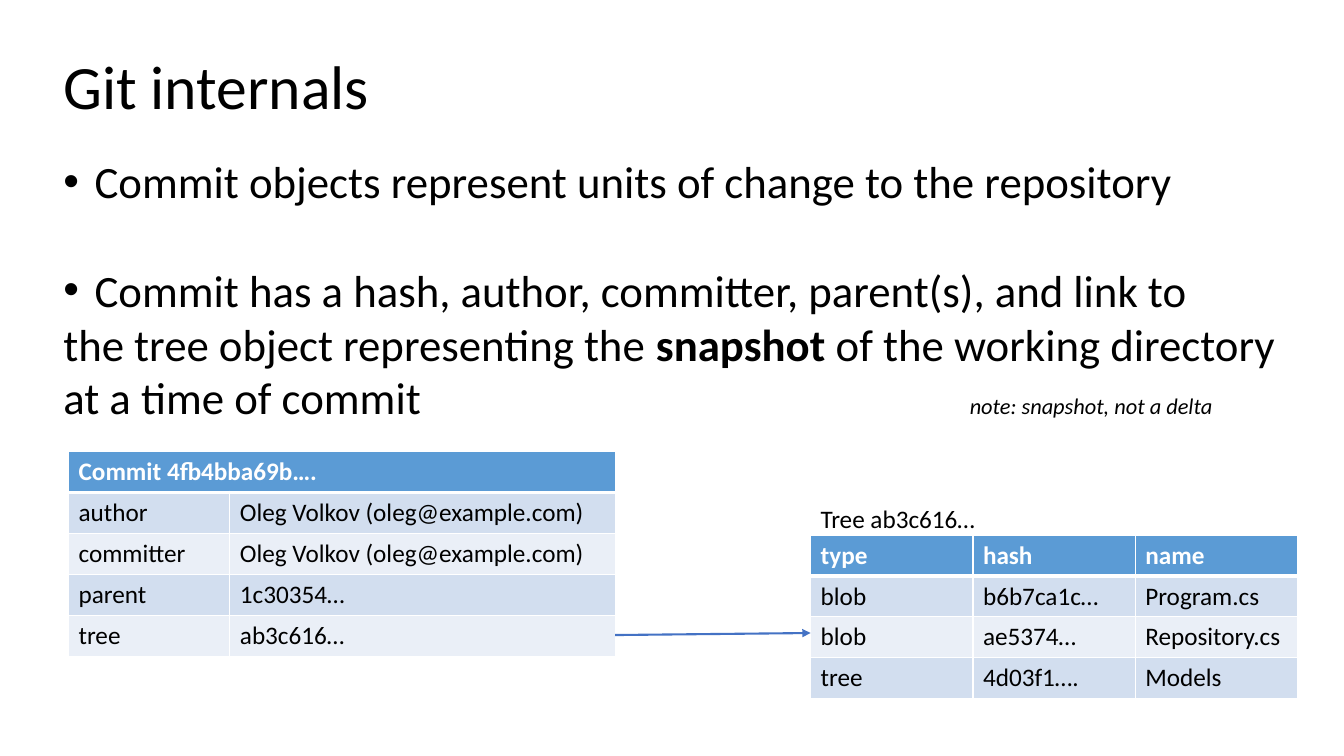
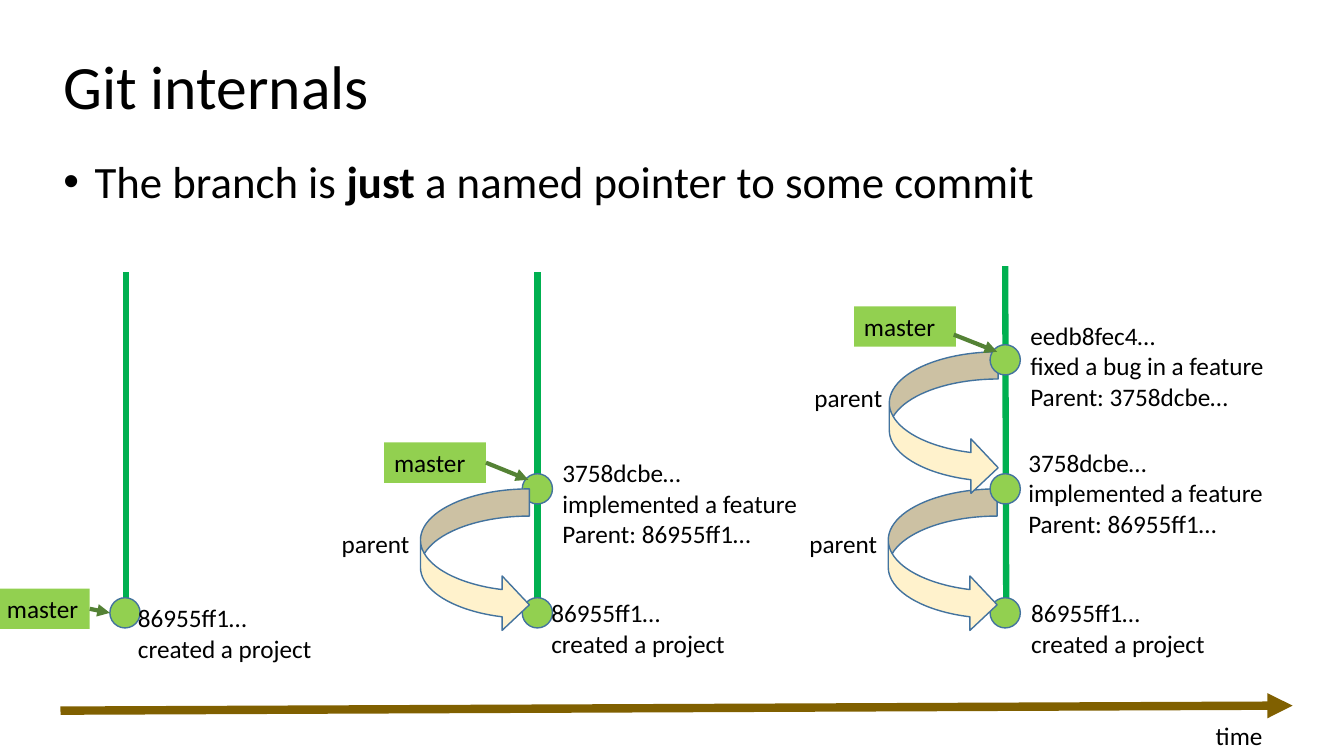
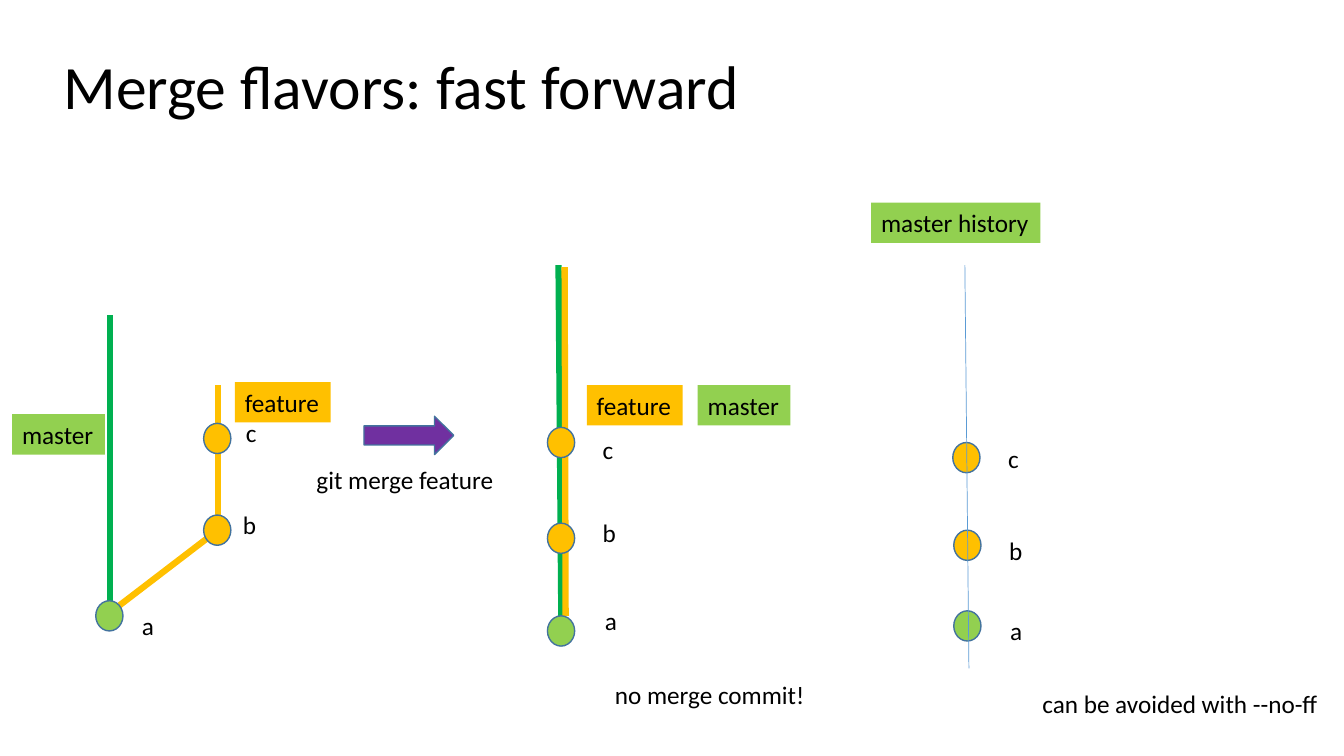
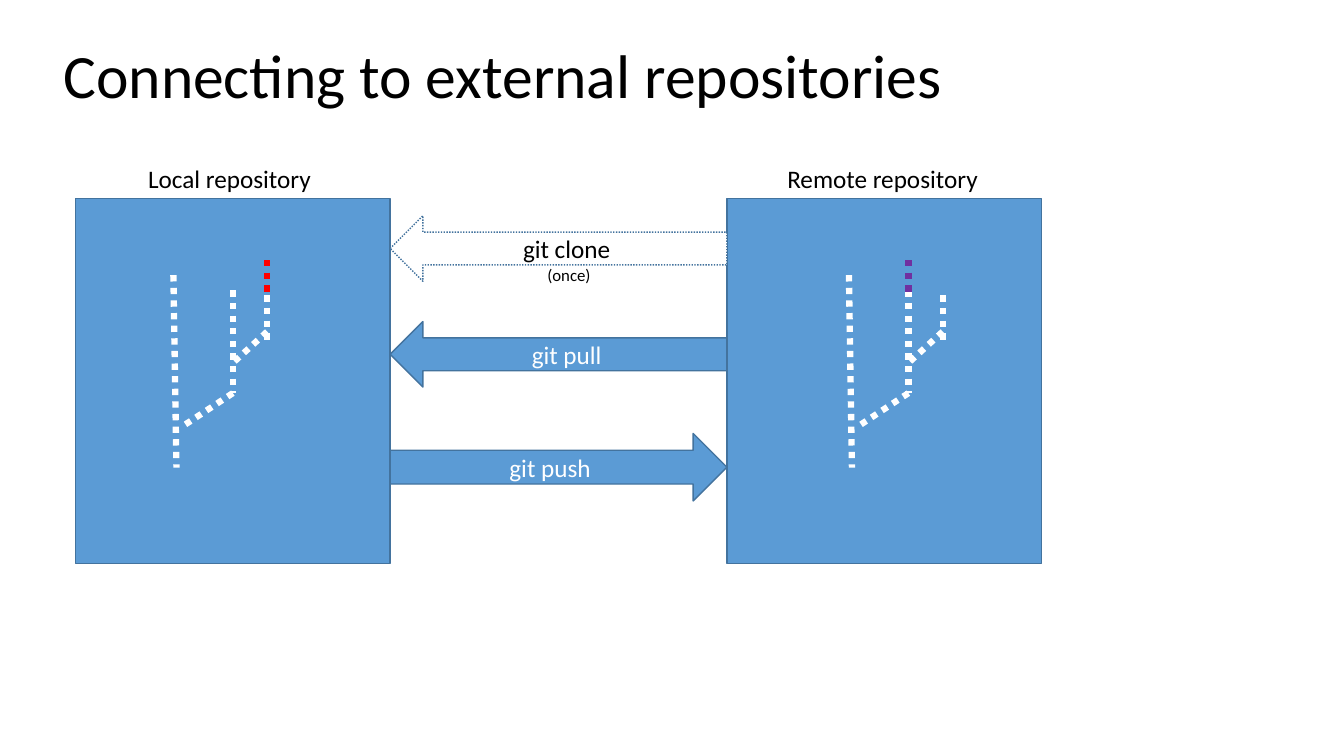
import pptx
import pptx.dml.color
import pptx.enum.dml
import pptx.enum.shapes
import pptx.enum.text
import pptx.oxml.ns
import pptx.util
from lxml import etree

Inches = pptx.util.Inches
Pt = pptx.util.Pt
RGBColor = pptx.dml.color.RGBColor
SHAPE = pptx.enum.shapes.MSO_SHAPE
DOTTED = pptx.enum.dml.MSO_LINE.ROUND_DOT
qn = pptx.oxml.ns.qn

BLACK = RGBColor(0x00, 0x00, 0x00)
WHITE = RGBColor(0xFF, 0xFF, 0xFF)
BLUE = RGBColor(0x5B, 0x9B, 0xD5)
OUTLINE = RGBColor(0x43, 0x73, 0x9E)
LINK_BLUE = RGBColor(0x44, 0x72, 0xC4)
BAND_DARK = RGBColor(0xD2, 0xDE, 0xEF)
BAND_LIGHT = RGBColor(0xEA, 0xEF, 0xF7)
GREEN = RGBColor(0x00, 0xB0, 0x50)
LIME = RGBColor(0x92, 0xD0, 0x50)
POINTER_GREEN = RGBColor(0x54, 0x82, 0x35)
ORANGE = RGBColor(0xFF, 0xC0, 0x00)
CREAM = RGBColor(0xFF, 0xF2, 0xCC)
BROWN = RGBColor(0x80, 0x60, 0x00)
PURPLE = RGBColor(0x70, 0x30, 0xA0)
RED = RGBColor(0xFF, 0x00, 0x00)

FONT = "Calibri"
BODY_SIZE = 32
LABEL_SIZE = 18


class Slides:
    """Holds the deck, its style and the current page; lengths are in inches."""

    def __init__(self):
        self.deck = pptx.Presentation()
        self.deck.slide_width = Inches(13.33)
        self.deck.slide_height = Inches(7.5)
        self.page = None

    def new_page(self, title, top=0.43):
        self.page = self.deck.slides.add_slide(self.deck.slide_layouts[6])
        self.label(title, 0.53, top, 9.02, 44)

    def style_span(self, span, size=LABEL_SIZE, color=BLACK, bold=False, italic=False):
        span.font.name = FONT
        span.font.size = Pt(size)
        span.font.color.rgb = color
        span.font.bold = bold
        span.font.italic = italic

    def fill_text(self, frame, text, **style):
        frame.text = text
        for para in frame.paragraphs:
            for span in para.runs:
                self.style_span(span, **style)

    def align_top_left(self, frame):
        frame.word_wrap = True
        frame.margin_right = 0
        frame.vertical_anchor = pptx.enum.text.MSO_ANCHOR.TOP
        for para in frame.paragraphs:
            para.alignment = pptx.enum.text.PP_ALIGN.LEFT

    def label(self, text, left, top, width, size=LABEL_SIZE):
        lines = text.count("\n") + 1
        height = round(0.1 + lines * size * 1.22 / 72, 2)
        box = self.page.shapes.add_textbox(
            Inches(left), Inches(top), Inches(width), Inches(height))
        self.fill_text(box.text_frame, text, size=size)
        self.align_top_left(box.text_frame)

    def body(self, paragraphs, width, height):
        """Add body text; each paragraph is (bulleted, space after, spans)."""
        box = self.page.shapes.add_textbox(
            Inches(0.53), Inches(1.48), Inches(width), Inches(height))
        frame = box.text_frame
        for number, (bulleted, space, spans) in enumerate(paragraphs):
            para = frame.add_paragraph() if number else frame.paragraphs[0]
            para.space_after = Pt(space)
            for text, style in spans:
                span = para.add_run()
                span.text = text
                self.style_span(span, **{"size": BODY_SIZE, **style})
            properties = para._p.get_or_add_pPr()
            if bulleted:
                properties.set("marL", str(Inches(0.31)))
                properties.set("indent", str(-Inches(0.31)))
                etree.SubElement(properties, qn("a:buFont"), typeface="Arial")
                etree.SubElement(properties, qn("a:buChar"), char="•")
            if any("\t" in text for text, style in spans):
                tabs = etree.SubElement(properties, qn("a:tabLst"))
                etree.SubElement(tabs, qn("a:tab"), pos=str(Inches(8.99)), algn="l")
        self.align_top_left(frame)

    def shape(self, kind, left, top, width, height, fill, outline=OUTLINE):
        shape = self.page.shapes.add_shape(
            kind, Inches(left), Inches(top), Inches(width), Inches(height))
        shape.shadow.inherit = False
        shape.fill.solid()
        shape.fill.fore_color.rgb = fill
        if outline is None:
            shape.line.fill.background()
        else:
            shape.line.color.rgb = outline
            shape.line.width = Pt(1)
        return shape

    def commit(self, left, top, fill=LIME, width=0.27):
        self.shape(SHAPE.OVAL, left, top, width, 0.3, fill)

    def tag(self, text, left, top, width, fill=LIME):
        tag = self.shape(SHAPE.RECTANGLE, left, top, width, 0.4, fill, None)
        self.fill_text(tag.text_frame, text)
        self.align_top_left(tag.text_frame)
        return tag

    def block_arrow(self, kind, text, top, height, fill=BLUE, color=WHITE):
        arrow = self.shape(kind, 3.87, top, 3.34, height, fill)
        self.fill_text(arrow.text_frame, text, color=color)
        arrow.text_frame.vertical_anchor = pptx.enum.text.MSO_ANCHOR.MIDDLE
        arrow.text_frame.paragraphs[0].alignment = pptx.enum.text.PP_ALIGN.CENTER
        return arrow

    def line(self, start, end, color, width=4.5, arrow=False, dash=None):
        line = self.page.shapes.add_connector(
            pptx.enum.shapes.MSO_CONNECTOR.STRAIGHT,
            *(Inches(value) for value in (*start, *end)))
        line.line.color.rgb = color
        line.line.width = Pt(width)
        if dash is not None:
            line.line.dash_style = dash
        properties = line.element.spPr
        if arrow:
            etree.SubElement(properties.find(qn("a:ln")), qn("a:tailEnd"), type="triangle")
        etree.SubElement(properties, qn("a:effectLst"))
        return line

    def table(self, rows, left, top, widths, height):
        frame = self.page.shapes.add_table(
            len(rows), len(widths), Inches(left), Inches(top),
            Inches(sum(widths)), Inches(height))
        table = frame.table
        for column, width in zip(table.columns, widths):
            column.width = Inches(width)
        for row, texts in enumerate(rows):
            fill = BLUE if row == 0 else BAND_DARK if row % 2 else BAND_LIGHT
            for column in range(len(widths)):
                cell = table.cell(row, column)
                cell.fill.solid()
                cell.fill.fore_color.rgb = fill
                self.cell_borders(cell, row)
            for column, text in enumerate(texts):
                self.fill_text(table.cell(row, column).text_frame, text,
                               color=BLACK if row else WHITE, bold=row == 0)
            if len(texts) < len(widths):
                table.cell(row, len(texts) - 1).merge(table.cell(row, len(widths) - 1))

    def cell_borders(self, cell, row):
        """White borders, heavier between the header and the first row."""
        widths = {"lnL": 1, "lnR": 1, "lnT": 3 if row == 1 else 1,
                  "lnB": 3 if row == 0 else 1}
        properties = cell._tc.get_or_add_tcPr()
        for position, (side, width) in enumerate(widths.items()):
            border = etree.Element(qn("a:" + side), w=str(Pt(width)))
            fill = etree.SubElement(border, qn("a:solidFill"))
            etree.SubElement(fill, qn("a:srgbClr"), val=str(WHITE))
            properties.insert(position, border)


def commit_objects(slides):
    slides.new_page("Git internals")
    slides.body([
        (True, 39, [("Commit objects represent units of change to the repository", {})]),
        (True, 0, [("Commit has a hash, author, committer, parent(s), and link to", {})]),
        (False, 0, [("the tree object representing the ", {}),
                    ("snapshot", {"bold": True}),
                    (" of the working directory", {})]),
        (False, 0, [("at a time of commit\t", {}),
                    ("note: snapshot, not a delta", {"size": 16, "italic": True})]),
    ], 12.33, 3.87)
    slides.label("Tree ab3c616…", 8.04, 4.94, 1.75)
    slides.table([
        ("type", "hash", "name"),
        ("blob", "b6b7ca1c…", "Program.cs"),
        ("blob", "ae5374…", "Repository.cs"),
        ("tree", "4d03f1….", "Models"),
    ], 8.04, 5.31, (1.61, 1.61, 1.61), 1.62)
    slides.table([
        ("Commit 4fb4bba69b….",),
        ("author", "Oleg Volkov (oleg@example.com)"),
        ("committer", "Oleg Volkov (oleg@example.com)"),
        ("parent", "1c30354…"),
        ("tree", "ab3c616…"),
    ], 0.68, 4.48, (1.6, 3.83), 2.03)
    slides.line((6.1, 6.3), (8.04, 6.28), LINK_BLUE, 1.5, arrow=True)


def branch_pointer(slides):
    slides.new_page("Git internals")
    slides.body([(True, 0, [("The branch is ", {}), ("just", {"bold": True}),
                            (" a named pointer to some commit", {})])], 9.91, 0.64)

    for start, end in (((1.25, 2.7), (1.25, 6.12)), ((5.33, 2.7), (5.33, 6.18)),
                       ((9.97, 2.64), (9.98, 6.06))):
        slides.line(start, end, GREEN)
    for left, top in ((1.09, 5.93), (5.18, 5.93), (5.18, 4.7), (9.82, 5.93)):
        slides.commit(left, top, width=0.3)

    created = "86955ff1…\ncreated a project"
    implemented = "3758dcbe…\nimplemented a feature\nParent: 86955ff1…"
    fixed = "eedb8fec4…\nfixed a bug in a feature\nParent: 3758dcbe…"
    for text, left, top, width in (
            (created, 1.27, 5.93, 2.14), (created, 5.37, 5.88, 2.14),
            (created, 10.13, 5.88, 2.14), (implemented, 5.48, 4.49, 2.81),
            (implemented, 10.1, 4.39, 2.81), (fixed, 10.12, 3.13, 2.81)):
        slides.label(text, left, top, width)

    for left, top, label_left, label_top in (
            (4.17, 4.85, 3.29, 5.19), (8.81, 4.85, 7.93, 5.19), (8.82, 3.49, 7.98, 3.74)):
        slides.shape(SHAPE.CURVED_RIGHT_ARROW, left, top, 1.08, 1.42, CREAM)
        slides.label("parent", label_left, label_top, 0.97)

    slides.line((0.6, 7.05), (12.82, 7), BROWN, 6, arrow=True)
    slides.label("time", 11.96, 7.1, 0.67)

    for top in (3.42, 4.7):
        slides.commit(9.82, top, width=0.3)
    for left, top, width, start, end, joined in (
            (-0.03, 5.84, 0.92, (0.88, 6.05), (1.09, 6.08), True),
            (3.81, 4.39, 1.01, (4.81, 4.59), (5.24, 4.76), True),
            (8.47, 3.04, 1.01, (9.46, 3.32), (9.89, 3.49), False)):
        tag = slides.tag("master", left, top, width)
        pointer = slides.line(start, end, POINTER_GREEN, 3, arrow=True)
        if joined:
            pointer.begin_connect(tag, 3)


def fast_forward(slides):
    slides.new_page("Merge flavors: fast forward")
    for start, end, color in (
            ((1.09, 3.13), (1.09, 6.26), GREEN), ((2.16, 5.26), (1.18, 6.01), ORANGE),
            ((2.16, 3.82), (2.16, 5.26), ORANGE), ((5.54, 2.63), (5.57, 6.41), GREEN),
            ((5.6, 2.65), (5.61, 6.11), ORANGE)):
        slides.line(start, end, color)

    for name, fill, places in (
            ("a", LIME, ((0.95, 5.96, 1.31, 6.01), (5.43, 6.11, 5.9, 5.96),
                         (9.46, 6.06, 9.92, 6.06))),
            ("b", ORANGE, ((2.02, 5.11, 2.31, 5), (5.43, 5.19, 5.88, 5.08),
                           (9.46, 5.26, 9.91, 5.26))),
            ("c", ORANGE, ((2.02, 4.2, 2.34, 4.09), (5.43, 4.24, 5.88, 4.26),
                           (9.45, 4.39, 9.9, 4.35)))):
        for left, top, label_left, label_top in places:
            slides.commit(left, top, fill)
            slides.label(name, label_left, label_top, 0.33)
    slides.line((9.57, 2.63), (9.61, 6.63), BLUE, 0.5)

    for text, left, top, width, fill in (
            ("feature", 2.33, 3.79, 0.95, ORANGE), ("master", 0.12, 4.11, 0.92, LIME),
            ("feature", 5.82, 3.82, 0.95, ORANGE), ("master", 6.92, 3.82, 0.92, LIME),
            ("master history", 8.64, 2.01, 1.68, LIME)):
        slides.tag(text, left, top, width, fill)

    slides.shape(SHAPE.RIGHT_ARROW, 3.61, 4.13, 0.89, 0.38, PURPLE)
    slides.label("git merge feature", 3.04, 4.56, 1.98)
    slides.label("no merge commit!", 6, 6.69, 2.11)
    slides.label("can be avoided with --no-ff", 10.24, 6.78, 2.97)


def branch_tree(slides, left):
    """Draw a dotted tree whose trunk starts at left."""
    for x1, y1, x2, y2 in (
            (0, 2.73, 0.03, 4.64), (0.59, 2.88, 0.59, 3.9), (0.59, 3.9, 0.12, 4.21),
            (0.93, 2.93, 0.93, 3.39), (0.93, 3.29, 0.59, 3.6)):
        slides.line((left + x1, y1), (left + x2, y2), WHITE, dash=DOTTED)


def external_repositories(slides):
    slides.new_page("Connecting to external repositories", 0.32)
    for name, left, label_left, width, trunk, tip, color in (
            ("Local repository", 0.75, 1.37, 1.83, 1.72, 2.65, RED),
            ("Remote repository", 7.21, 7.71, 2.11, 8.42, 9.01, PURPLE)):
        slides.shape(SHAPE.RECTANGLE, left, 1.97, 3.12, 3.62, BLUE)
        slides.label(name, label_left, 1.57, width)
        branch_tree(slides, trunk)
        slides.line((tip, 2.58), (tip, 2.93), color, dash=DOTTED)

    slides.block_arrow(SHAPE.RIGHT_ARROW, "git push", 4.3, 0.67)
    slides.block_arrow(SHAPE.LEFT_ARROW, "git pull", 3.19, 0.65)
    clone = slides.block_arrow(SHAPE.LEFT_ARROW, "git clone", 2.14, 0.65, WHITE, BLACK)
    clone.line.dash_style = DOTTED
    slides.label("(once)", 5.33, 2.58, 0.64, 12)


def main():
    slides = Slides()
    commit_objects(slides)
    branch_pointer(slides)
    fast_forward(slides)
    external_repositories(slides)
    slides.deck.save("out.pptx")


if __name__ == "__main__":
    main()
